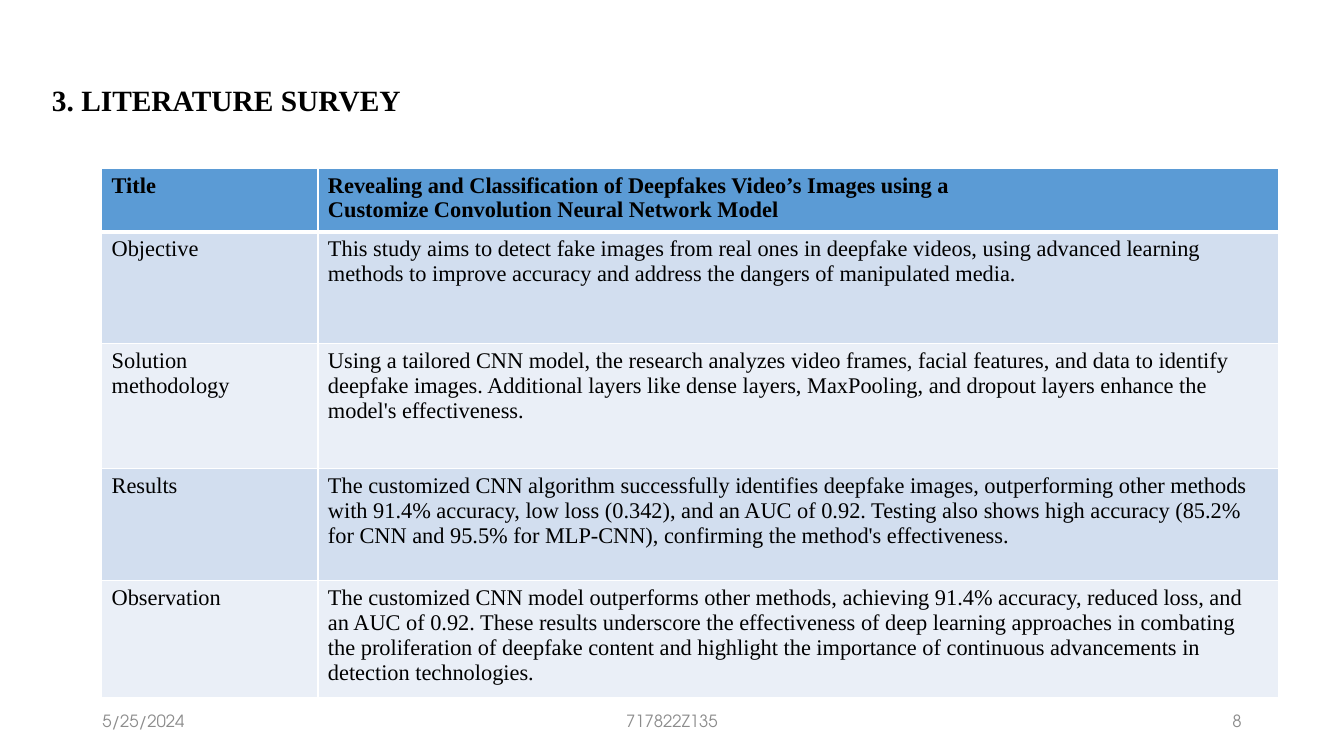
from dataclasses import dataclass

from lxml.etree import SubElement
from pptx import Presentation
from pptx.dml.color import RGBColor
from pptx.enum.text import MSO_ANCHOR, PP_ALIGN
from pptx.oxml.ns import qn
from pptx.util import Inches, Pt

UNIT = 1 / 12  # grid step in inches: 160 columns by 90 rows


@dataclass(frozen=True)
class Theme:
    serif: str = "Times New Roman"
    sans: str = "TeX Gyre Adventor"
    ink: str = "000000"
    mute: str = "8C8C8C"
    rule: str = "FFFFFF"
    head: str = "5B9BD5"
    bands: tuple = ("D2DEEF", "EAEFF7")
    title: int = 21
    body: int = 16
    foot: int = 12


def grid(*steps):
    return [Inches(step * UNIT) for step in steps]


def write(frame, text, font, size, color, bold=False,
          align=PP_ALIGN.LEFT, lead=None):
    """Fill a text frame, one paragraph per line of text."""
    for i, line in enumerate(text.split("\n")):
        para = frame.add_paragraph() if i else frame.paragraphs[0]
        para.alignment = align
        if lead:
            para.line_spacing = lead
        run = para.add_run()
        run.text = line
        run.font.name = font
        run.font.size = Pt(size)
        run.font.bold = bold
        run.font.color.rgb = RGBColor.from_string(color)


class Deck:
    def __init__(self, theme):
        self.theme = theme
        self.show = Presentation()
        self.show.slide_width, self.show.slide_height = grid(160, 90)
        self.slide = self.show.slides.add_slide(self.show.slide_layouts[6])

    def label(self, text, place, **form):
        frame = self.slide.shapes.add_textbox(*grid(*place)).text_frame
        frame.word_wrap = True
        frame.vertical_anchor = MSO_ANCHOR.MIDDLE
        write(frame, text, **form)

    def border(self, cell, widths):
        props = cell._tc.get_or_add_tcPr()
        for i, (side, width) in enumerate(widths.items()):
            line = SubElement(props, qn(f"a:ln{side}"), w=str(Pt(width)))
            fill = SubElement(line, qn("a:solidFill"))
            SubElement(fill, qn("a:srgbClr"), val=self.theme.rule)
            props.insert(i, line)

    def table(self, data, place, cols, rows):
        look = self.theme
        table = self.slide.shapes.add_table(
            len(rows), len(cols), *grid(*place)).table
        for col, width in zip(table.columns, grid(*cols)):
            col.width = width
        for row, height in zip(table.rows, grid(*rows)):
            row.height = height
        for r, texts in enumerate(data):
            shade = look.bands[(r - 1) % 2] if r else look.head
            for c, text in enumerate(texts):
                cell = table.cell(r, c)
                cell.fill.solid()
                cell.fill.fore_color.rgb = RGBColor.from_string(shade)
                write(cell.text_frame, text, font=look.serif,
                      size=look.body, color=look.ink, bold=r == 0)
                # The heavy rule lies between the header and the body
                self.border(cell, {"L": 1, "R": 1, "T": 3 if r == 1 else 1,
                                   "B": 3 if r == 0 else 1})


SURVEY = [
    ("Title",
     "Revealing and Classification of Deepfakes Video’s Images using a\n"
     "Customize Convolution Neural Network Model"),
    ("Objective",
     "This study aims to detect fake images from real ones in deepfake "
     "videos, using advanced learning methods to improve accuracy and "
     "address the dangers of manipulated media."),
    ("Solution methodology",
     "Using a tailored CNN model, the research analyzes video frames, facial "
     "features, and data to identify deepfake images. Additional layers like "
     "dense layers, MaxPooling, and dropout layers enhance the model's "
     "effectiveness."),
    ("Results",
     "The customized CNN algorithm successfully identifies deepfake images, "
     "outperforming other methods with 91.4% accuracy, low loss (0.342), and "
     "an AUC of 0.92. Testing also shows high accuracy (85.2% for CNN and "
     "95.5% for MLP-CNN), confirming the method's effectiveness."),
    ("Observation",
     "The customized CNN model outperforms other methods, achieving 91.4% "
     "accuracy, reduced loss, and an AUC of 0.92. These results underscore "
     "the effectiveness of deep learning approaches in combating the "
     "proliferation of deepfake content and highlight the importance of "
     "continuous advancements in detection technologies."),
]


def main():
    look = Theme()
    deck = Deck(look)

    # Footer: date, number of the author, page
    for text, left, width, align in (
            ("5/25/2024", 11, 36, PP_ALIGN.LEFT),
            ("717822Z135", 53, 54, PP_ALIGN.CENTER),
            ("8", 113, 36, PP_ALIGN.RIGHT)):
        deck.label(text, (left, 83.4, width, 4.8), font=look.sans,
                   size=look.foot, color=look.mute, align=align)

    # Heading
    deck.label("3. LITERATURE SURVEY", (5, 7.4, 128, 9.6), font=look.serif,
               size=look.title, color=look.ink, bold=True, lead=0.9)

    # Survey table
    deck.table(SURVEY, (12.1, 20, 140.1, 61.4), cols=(25.75, 114.35),
               rows=(6.6, 13.3, 14.9, 13.3, 13.3))

    deck.show.save("out.pptx")


if __name__ == "__main__":
    main()
